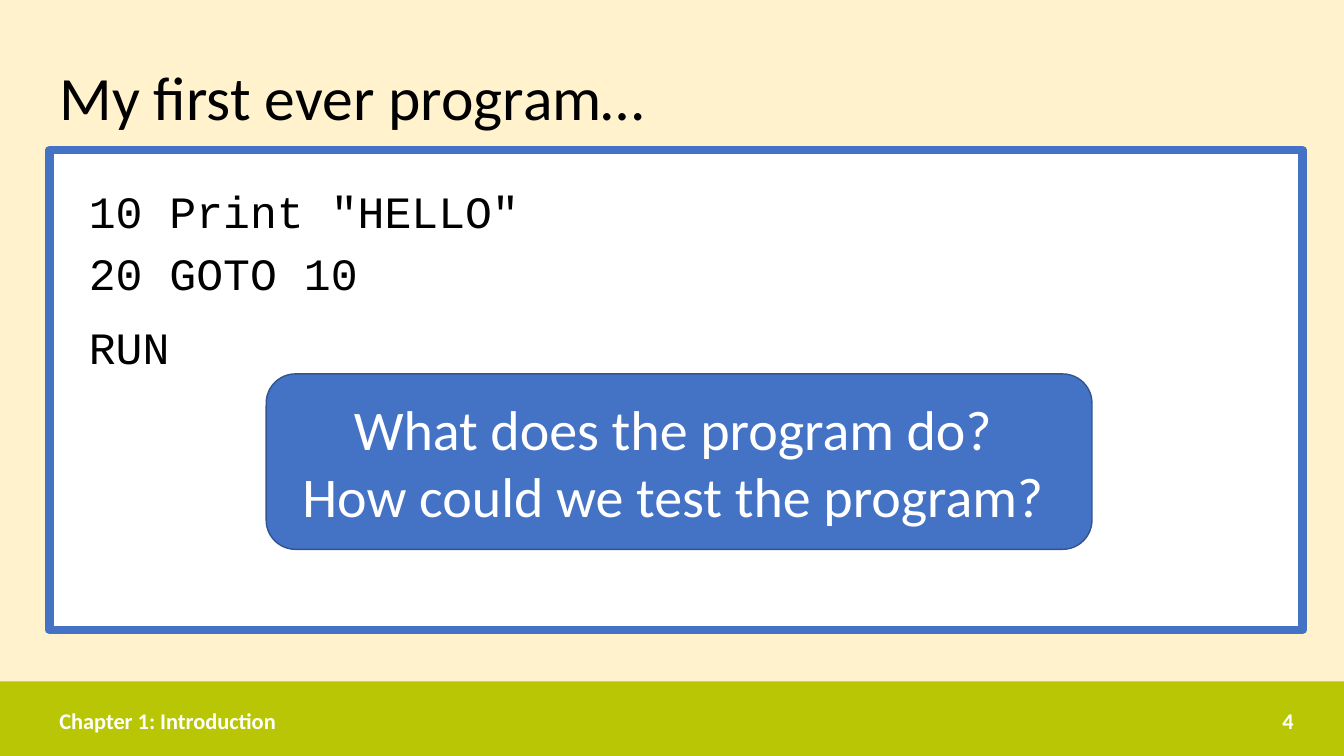
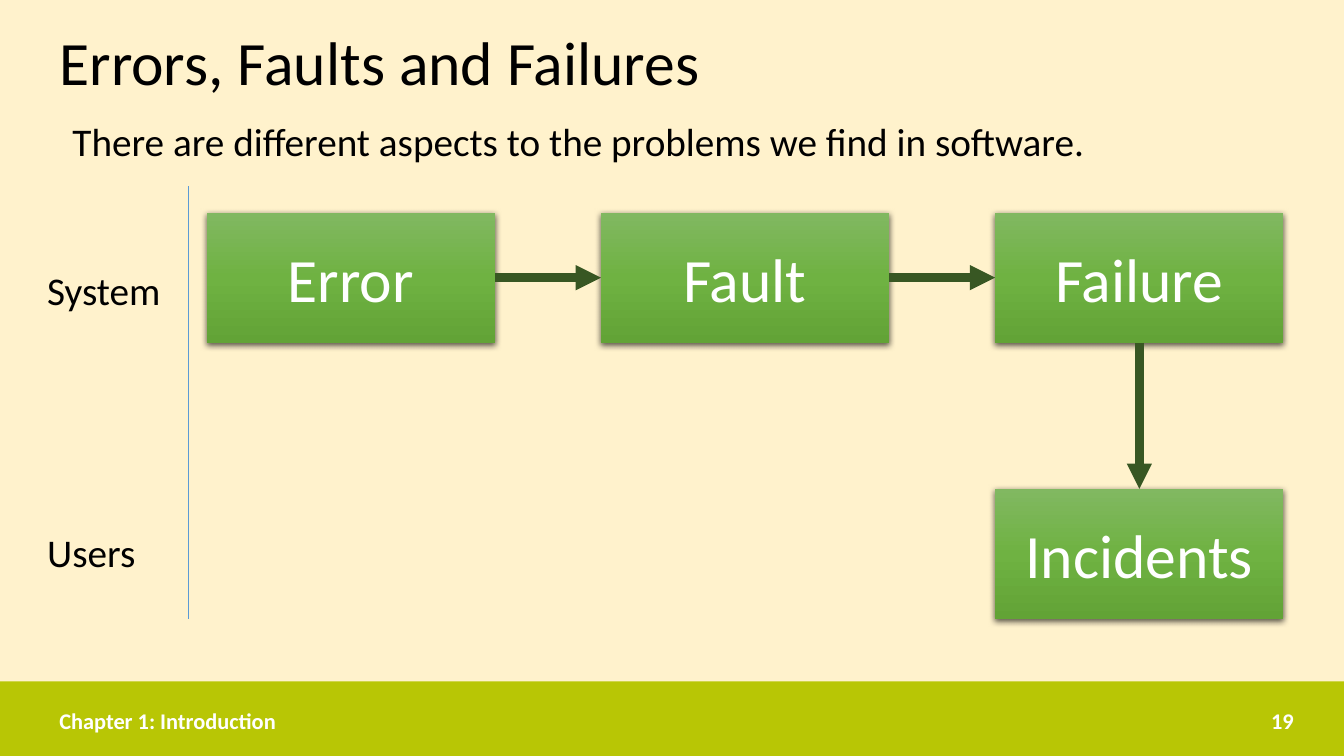
"""Build two slides of a chapter on software testing."""
from copy import deepcopy

from lxml.etree import SubElement
from pptx import Presentation
from pptx.dml.color import RGBColor
from pptx.enum.shapes import MSO_CONNECTOR, MSO_SHAPE
from pptx.enum.text import MSO_ANCHOR, MSO_AUTO_SIZE, PP_ALIGN
from pptx.oxml.ns import qn
from pptx.util import Inches, Pt

HUES = {
    "page": "FFF2CC", "band": "B8C605", "ink": "000000", "white": "FFFFFF",
    "blue": "4472C4", "edge": "325491", "rule": "5B9BD5", "arrow": "385723",
    "top": "81B861", "mid": "6FB242", "base": "62A336",
}
LEFT, WIDE = 0.49, 12.43
BOX = (2.86, 1.29)
FRAME = {"word_wrap": True, "auto_size": MSO_AUTO_SIZE.NONE,
         "vertical_anchor": MSO_ANCHOR.MIDDLE}
TITLE = {"line_spacing": 0.9, "alignment": PP_ALIGN.LEFT}
CODE = {**TITLE, "space_before": Pt(10)}
MID = {"alignment": PP_ALIGN.CENTER}


def rgb(name):
    """Return the named colour."""
    return RGBColor.from_string(HUES[name])


def style(item, form):
    """Set each attribute in form on item."""
    for key, value in form.items():
        setattr(item, key, value)


def place(shape, *area):
    """Move and size a shape, in inches."""
    style(shape, dict(zip(("left", "top", "width", "height"), map(Inches, area))))


def write(shape, lines, size, hue="ink", face="Calibri", bold=False, para=None, frame=None):
    """Fill a shape with formatted paragraphs."""
    text = shape.text_frame
    style(text, {**FRAME, **(frame or {})})
    text.text = "\n".join(lines)
    for part in text.paragraphs:
        style(part, para or {})
        style(part.font, {"size": Pt(size), "name": face, "bold": bold})
        part.font.color.rgb = rgb(hue)


def label(slide, area, line, size, **form):
    """Add a text box with one line."""
    box = slide.shapes.add_textbox(*map(Inches, area))
    write(box, [line], size, **form)


def block(slide, kind, area, fill, edge=None):
    """Add a flat preset shape."""
    shape = slide.shapes.add_shape(kind, *map(Inches, area))
    shape.shadow.inherit = False
    shape.fill.solid()
    shape.fill.fore_color.rgb = rgb(fill)
    if edge:
        shape.line.color.rgb = rgb(edge)
        shape.line.width = Pt(1)
    else:
        shape.line.fill.background()
    return shape


def stage(slide, left, top, word):
    """Add a green stage box with a gradient and soft shadow."""
    shape = block(slide, MSO_SHAPE.RECTANGLE, (left, top, *BOX), "mid")
    shape.fill.gradient()
    shape.fill.gradient_angle = 270
    props = shape.element.spPr
    stops = props.find(".//" + qn("a:gsLst"))
    stops.insert(1, deepcopy(stops[0]))
    for stop, spot, hue in zip(shape.fill.gradient_stops, (0, 0.5, 1), ("top", "mid", "base")):
        stop.position = spot
        stop.color.rgb = rgb(hue)
    shade = SubElement(props.find(qn("a:effectLst")), qn("a:outerShdw"),
                       blurRad=str(Pt(4.5)), dist=str(Pt(1.5)), dir="5400000", rotWithShape="0")
    tint = SubElement(shade, qn("a:srgbClr"), val=HUES["ink"])
    SubElement(tint, qn("a:alpha"), val="63000")
    write(shape, [word], 44, "white", para=MID)
    return shape


def line(slide, hue, width, ends=(0, 0, 0, 0)):
    """Add a straight line without a shadow."""
    link = slide.shapes.add_connector(MSO_CONNECTOR.STRAIGHT, *map(Inches, ends))
    link.line.color.rgb = rgb(hue)
    link.line.width = Pt(width)
    SubElement(link.element.spPr, qn("a:effectLst"))
    return link


def arrow(slide, start, out, end, into):
    """Join two boxes with an arrow."""
    link = line(slide, "arrow", 6)
    link.begin_connect(start, out)
    link.end_connect(end, into)
    SubElement(link.element.spPr.find(qn("a:ln")), qn("a:tailEnd"), type="triangle")


def start(deck, layout, title, area, page):
    """Add a slide with its title and footer."""
    slide = deck.slides.add_slide(deck.slide_layouts[layout])
    place(slide.shapes.title, *area)
    write(slide.shapes.title, [title], 44, para=TITLE)
    label(slide, (LEFT, 6.95, 6.19, 0.4), "Chapter 1: Introduction", 16, hue="white", bold=True)
    label(slide, (9.42, 6.95, 3.51, 0.4), page, 16, hue="white", bold=True,
          para={"alignment": PP_ALIGN.RIGHT})
    return slide


def code(slide):
    """Fill the body with the framed program."""
    body = slide.placeholders[1]
    place(body, LEFT, 1.49, WIDE, 4.76)
    body.fill.solid()
    body.fill.fore_color.rgb = rgb("white")
    body.line.color.rgb = rgb("blue")
    body.line.width = Pt(6)
    write(body, ['10 Print "HELLO"', "20 GOTO 10", "RUN"], 32, face="Courier New", para=CODE,
          frame={"vertical_anchor": MSO_ANCHOR.TOP,
                 "margin_left": Inches(0.39), "margin_top": Inches(0.39)})
    parts = body.text_frame.paragraphs
    for part, gap in zip(parts, (0, 10, 18.2)):
        part.space_before = Pt(gap)
        props = part._p.get_or_add_pPr()
        style_set = {"marL": "0", "indent": "0"}
        for key, value in style_set.items():
            props.set(key, value)
        SubElement(props, qn("a:buNone"))


def first(deck):
    """Build the slide with the first program."""
    slide = start(deck, 1, "My first ever program…", (LEFT, 0.27, WIDE, 1.45), "4")
    code(slide)
    card = block(slide, MSO_SHAPE.ROUNDED_RECTANGLE, (2.64, 3.71, 8.19, 1.74), "blue", "edge")
    write(card, ["What does the program do? ", "How could we test the program? "],
          40, "white", para=MID)


def flow(deck):
    """Build the slide on errors, faults and failures."""
    slide = start(deck, 5, "Errors, Faults and Failures", (LEFT, 0.27, WIDE, 0.77), "19")
    top = {"vertical_anchor": MSO_ANCHOR.TOP}
    label(slide, (0.62, 1.11, 12.11, 0.57),
          "There are different aspects to the problems we find in software.", 28, frame=top)
    step = 3.91
    row = [stage(slide, 2.05 + step * i, 2.11, word)
           for i, word in enumerate(("Error", "Fault", "Failure"))]
    last = stage(slide, 2.05 + step * 2, 4.85, "Incidents")
    for left, right in zip(row, row[1:]):
        arrow(slide, left, 3, right, 1)
    arrow(slide, row[-1], 2, last, 0)
    line(slide, "rule", 0.5, (1.87, 1.85, 1.87, 6.14))
    for word, y, width in (("System", 2.59, 1.34), ("Users", 5.19, 1.09)):
        label(slide, (0.37, y, width, 0.57), word, 28, frame={**top, "word_wrap": False})


def theme(deck):
    """Set the page colour and put the footer band on the master."""
    master = deck.slide_master
    master.background.fill.solid()
    master.background.fill.fore_color.rgb = rgb("page")
    band = block(deck.slides[0], MSO_SHAPE.RECTANGLE, (0, 6.76, 13.33, 0.74), "band")
    master.shapes.element.insert(2, band.element)


def main():
    """Build and save the deck."""
    deck = Presentation()
    style(deck, {"slide_width": Inches(13.33), "slide_height": Inches(7.5)})
    first(deck)
    flow(deck)
    theme(deck)
    deck.save("out.pptx")


if __name__ == "__main__":
    main()
